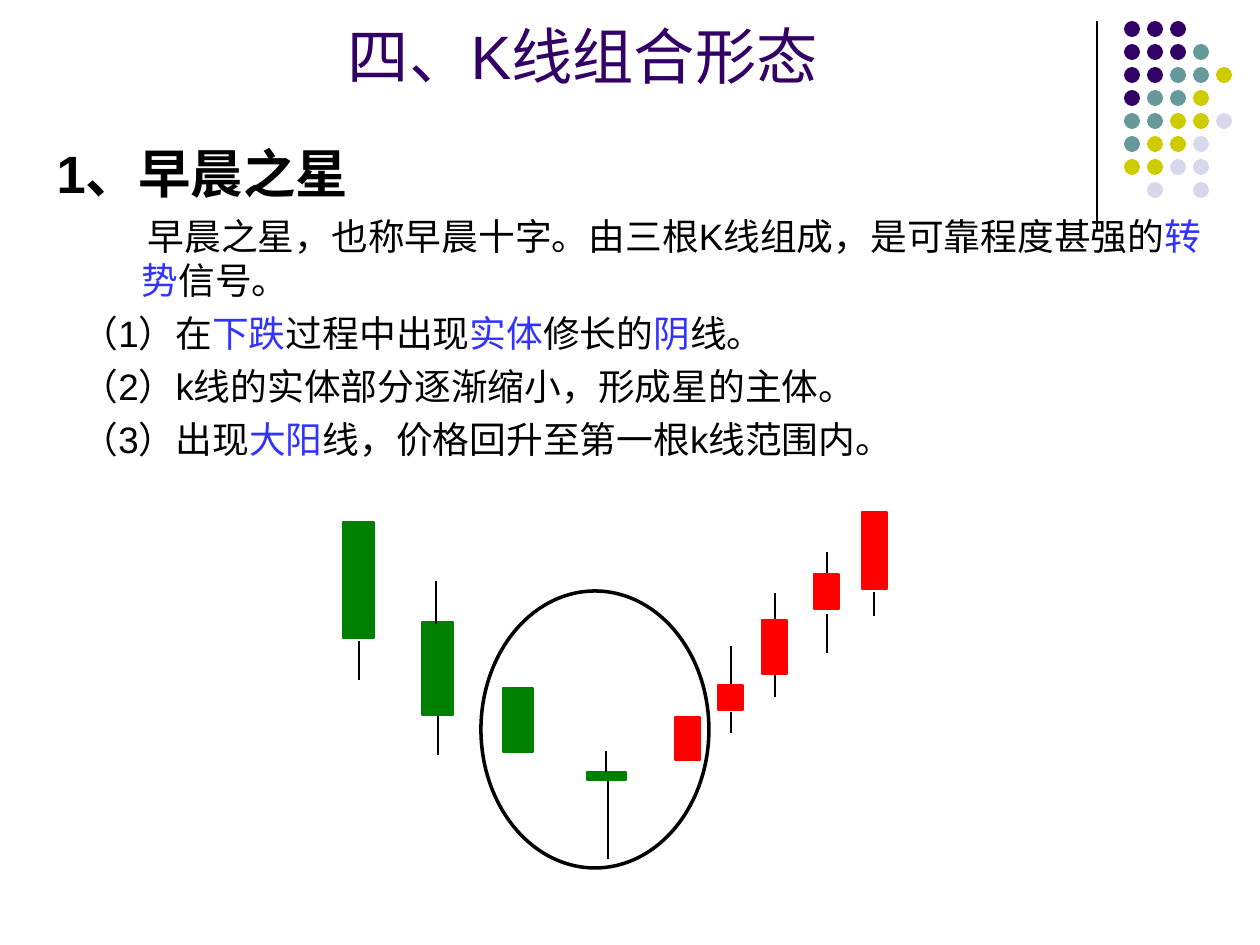
from lxml import etree
from pptx import Presentation
from pptx import util as u
from pptx.dml.color import RGBColor
from pptx.enum import shapes, text
from pptx.oxml.ns import qn

SCALE = 914400 / 126
BLACK, BLUE, GREEN, RED = "000000", "3333FF", "008000", "FF0000"
PURPLE, TEAL, OLIVE, LILAC = "330066", "669999", "CCCC00", "D8D8EC"


def px(length):
    return u.Emu(round(length * SCALE))


def color(value):
    return RGBColor.from_string(value)


class SlideBuilder:
    font = "Arial"
    thin = 0.75

    def __init__(self, slide):
        self.slide = slide

    def place(self, placeholder, left, top, width, height, anchor):
        placeholder.left, placeholder.top = px(left), px(top)
        placeholder.width, placeholder.height = px(width), px(height)
        frame = placeholder.text_frame
        frame.auto_size = text.MSO_AUTO_SIZE.NONE
        frame.word_wrap = True
        frame.vertical_anchor = anchor
        return frame

    def run(self, paragraph, words, size, fill, bold=False):
        run = paragraph.add_run()
        run.text = words
        run.font.size = u.Pt(size)
        run.font.name = self.font
        run.font.bold = bold
        run.font.color.rgb = color(fill)
        latin = run.font._element.find(qn("a:latin"))
        east_asian = etree.Element(qn("a:ea"), typeface=self.font)
        latin.addnext(east_asian)

    def title(self, words, box):
        frame = self.place(self.slide.shapes.title, *box, text.MSO_ANCHOR.MIDDLE)
        paragraph = frame.paragraphs[0]
        paragraph.alignment = text.PP_ALIGN.CENTER
        self.run(paragraph, words, 35, PURPLE)

    def body(self, items, box):
        frame = self.place(self.slide.placeholders[1], *box, text.MSO_ANCHOR.TOP)
        for index, (size, bold, before, indent, runs) in enumerate(items):
            paragraph = frame.add_paragraph() if index else frame.paragraphs[0]
            paragraph.alignment = text.PP_ALIGN.LEFT
            paragraph.space_before = u.Pt(before)
            properties = paragraph._p.get_or_add_pPr()
            properties.set("marL", str(px(85)))
            properties.set("indent", str(px(indent)))
            etree.SubElement(properties, qn("a:buNone"))
            for words, fill in runs:
                self.run(paragraph, words, size, fill, bold)

    def shape(self, kind, box, fill=None, line=None, weight=thin):
        shape = self.slide.shapes.add_shape(kind, *map(px, box))
        shape.shadow.inherit = False
        if fill:
            shape.fill.solid()
            shape.fill.fore_color.rgb = color(fill)
        else:
            shape.fill.background()
        if line:
            shape.line.color.rgb = color(line)
            shape.line.width = u.Pt(weight)
        else:
            shape.line.fill.background()

    def ellipse(self, box, **style):
        self.shape(shapes.MSO_SHAPE.OVAL, box, **style)

    def vertical_line(self, x, top, bottom):
        line = self.slide.shapes.add_connector(
            shapes.MSO_CONNECTOR.STRAIGHT, px(x), px(top), px(x), px(bottom))
        line.line.color.rgb = color(BLACK)
        line.line.width = u.Pt(self.thin)
        etree.SubElement(line._element.spPr, qn("a:effectLst"))

    def candle(self, fill, box, wicks):
        self.shape(shapes.MSO_SHAPE.RECTANGLE, box, fill=fill, line=fill)
        for wick in wicks:
            self.vertical_line(*wick)

    def dot_grid(self, rows, left, top, pitch, size):
        fills = {"P": PURPLE, "T": TEAL, "O": OLIVE, "L": LILAC}
        for row, codes in enumerate(rows):
            for column, code in enumerate(codes):
                if code in fills:
                    box = (left + column * pitch, top + row * pitch, size, size)
                    self.ellipse(box, fill=fills[code])


DOTS = ["PPP", "PPPT", "PPTTO", "PTTO", "TTOOL", "TOOL", "OOLL", ".L.L"]

HEADING = (30, True, 7.5, -85)
INTRO = (21, False, 5.2, 6)
POINT = (21, False, 5.2, -60)
ITEMS = [
    (*HEADING, [("1、早晨之星", BLACK)]),
    (*INTRO, [("早晨之星，也称早晨十字。由三根K线组成，是可靠程度甚强的", BLACK),
              ("转势", BLUE), ("信号。", BLACK)]),
    (*POINT, [("（1）在", BLACK), ("下跌", BLUE), ("过程中出现", BLACK),
              ("实体", BLUE), ("修长的", BLACK), ("阴", BLUE), ("线。", BLACK)]),
    (*POINT, [("（2）k线的实体部分逐渐缩小，形成星的主体。", BLACK)]),
    (*POINT, [("（3）出现", BLACK), ("大阳", BLUE),
              ("线，价格回升至第一根k线范围内。", BLACK)]),
]

CANDLES = [
    (GREEN, (343, 522, 31, 116), [(359, 641, 680)]),
    (GREEN, (422, 622, 31, 93), [(436, 581, 624), (438, 716, 755)]),
    (GREEN, (503, 688, 30, 64), []),
    (GREEN, (587, 772, 39, 8), [(606, 751, 772), (608, 781, 859)]),
    (RED, (675, 717, 25, 43), []),
    (RED, (718, 685, 25, 25), [(731, 646, 684), (731, 712, 733)]),
    (RED, (762, 620, 25, 54), [(775, 593, 619), (775, 675, 697)]),
    (RED, (814, 574, 25, 35), [(827, 552, 573), (827, 614, 653)]),
    (RED, (862, 512, 25, 77), [(874, 592, 616)]),
]


def main():
    presentation = Presentation()
    presentation.slide_width = u.Inches(10)
    presentation.slide_height = u.Inches(7.5)
    slide = presentation.slides.add_slide(presentation.slide_layouts[1])
    builder = SlideBuilder(slide)
    builder.vertical_line(1097, 21, 231)
    builder.dot_grid(DOTS, left=1124, top=21, pitch=23, size=16)
    builder.body(ITEMS, (44, 135, 1181, 745))
    for candle in CANDLES:
        builder.candle(*candle)
    builder.title("四、K线组合形态", (63, 16, 1040, 77))
    builder.ellipse((481, 591, 228, 277), line=BLACK, weight=2)
    presentation.save("out.pptx")


if __name__ == "__main__":
    main()
